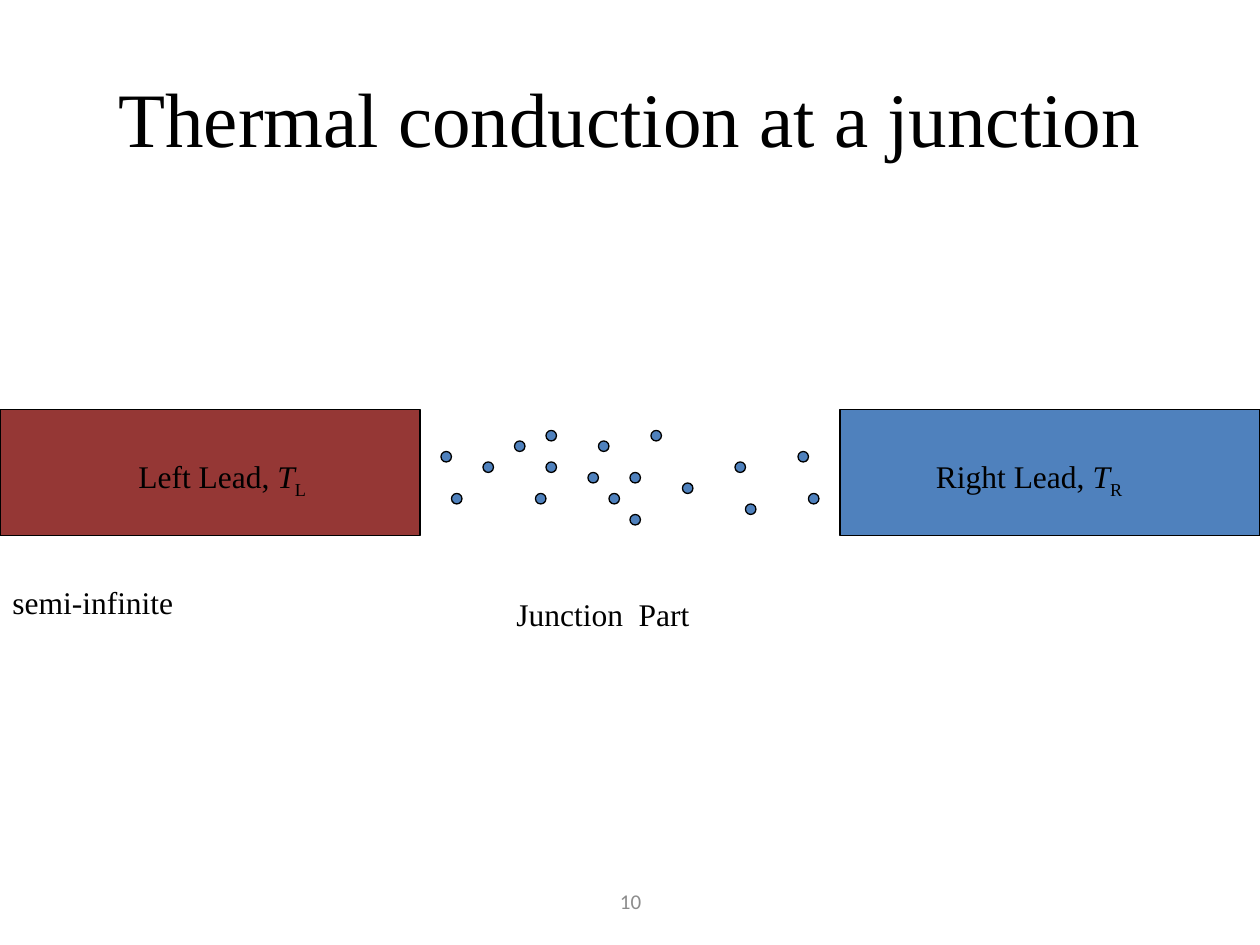
from dataclasses import dataclass

from pptx import Presentation
from pptx.dml.color import RGBColor
from pptx.enum import shapes, text
from pptx.util import Inches, Pt


@dataclass(frozen=True)
class Theme:
    hot: RGBColor = RGBColor(0x95, 0x37, 0x35)
    cold: RGBColor = RGBColor(0x4F, 0x81, 0xBD)
    ink: RGBColor = RGBColor(0, 0, 0)
    muted: RGBColor = RGBColor(0x8C, 0x8C, 0x8C)
    serif: str = "Times New Roman"
    sans: str = "Calibri"
    title_size: int = 44
    label_size: int = 18
    number_size: int = 12
    line_width: float = 0.75


THEME = Theme()
GRID = 1 / 12  # inches; also the diameter of an atom
ATOMS = [  # column and row on the grid
    (52, 41), (52, 44), (56, 45), (60, 45), (58, 47), (60, 49),
    (62, 41), (65, 46), (70, 44), (71, 48), (76, 43), (77, 47),
    (42, 43), (43, 47), (51, 47), (46, 44), (57, 42), (49, 42),
]
LEAD_WIDTH = 10 / 3


def add_filled_shape(slide, kind, left, top, width, height, fill):
    shape = slide.shapes.add_shape(
        kind, Inches(left), Inches(top), Inches(width), Inches(height))
    shape.shadow.inherit = False
    shape.fill.solid()
    shape.fill.fore_color.rgb = fill
    shape.line.color.rgb = THEME.ink
    shape.line.width = Pt(THEME.line_width)


def add_text(slide, content, left, top, width, height, size=THEME.label_size,
             font=THEME.serif, color=THEME.ink, centred=False):
    """Add a text box and return its paragraph."""
    box = slide.shapes.add_textbox(
        Inches(left), Inches(top), Inches(width), Inches(height))
    frame = box.text_frame
    frame.word_wrap = True
    frame.text = content
    paragraph = frame.paragraphs[0]
    if centred:
        frame.vertical_anchor = text.MSO_ANCHOR.MIDDLE
        paragraph.alignment = text.PP_ALIGN.CENTER
    for run in paragraph.runs:
        style_run(run, size, font, color)
    return paragraph


def style_run(run, size, font, color):
    run.font.size = Pt(size)
    run.font.name = font
    run.font.color.rgb = color


def add_lead_label(slide, name, subscript, left):
    """Label a lead with its name and its temperature symbol."""
    paragraph = add_text(slide, f"{name} Lead, ", left, 3.58, 1.75, 0.4)
    symbol, index = paragraph.add_run(), paragraph.add_run()
    symbol.text, index.text = "T", subscript
    for run in (symbol, index):
        style_run(run, THEME.label_size, THEME.serif, THEME.ink)
    symbol.font.italic = True
    index.font._element.set("baseline", "-25000")


def main():
    presentation = Presentation()
    presentation.slide_width = Inches(10)
    presentation.slide_height = Inches(7.5)
    slide = presentation.slides.add_slide(presentation.slide_layouts[6])

    add_text(slide, "10", 3.42, 6.95, 3.17, 0.4, THEME.number_size,
             THEME.sans, THEME.muted, centred=True)
    add_text(slide, "Thermal conduction at a junction", 0.5, 0.3, 9, 1.25,
             THEME.title_size, centred=True)

    for left, fill in ((0, THEME.hot), (10 - LEAD_WIDTH, THEME.cold)):
        add_filled_shape(slide, shapes.MSO_SHAPE.RECTANGLE,
                         left, 3.25, LEAD_WIDTH, 1, fill)
    add_lead_label(slide, "Left", "L", 1)
    add_lead_label(slide, "Right", "R", 7.33)

    for column, row in ATOMS:
        add_filled_shape(slide, shapes.MSO_SHAPE.OVAL, column * GRID,
                         row * GRID, GRID, GRID, THEME.cold)

    add_text(slide, "Junction  Part", 4, 4.67, 2, 0.4)
    add_text(slide, "semi-infinite", 0, 4.58, 1.58, 0.4)

    presentation.save("out.pptx")


if __name__ == "__main__":
    main()
